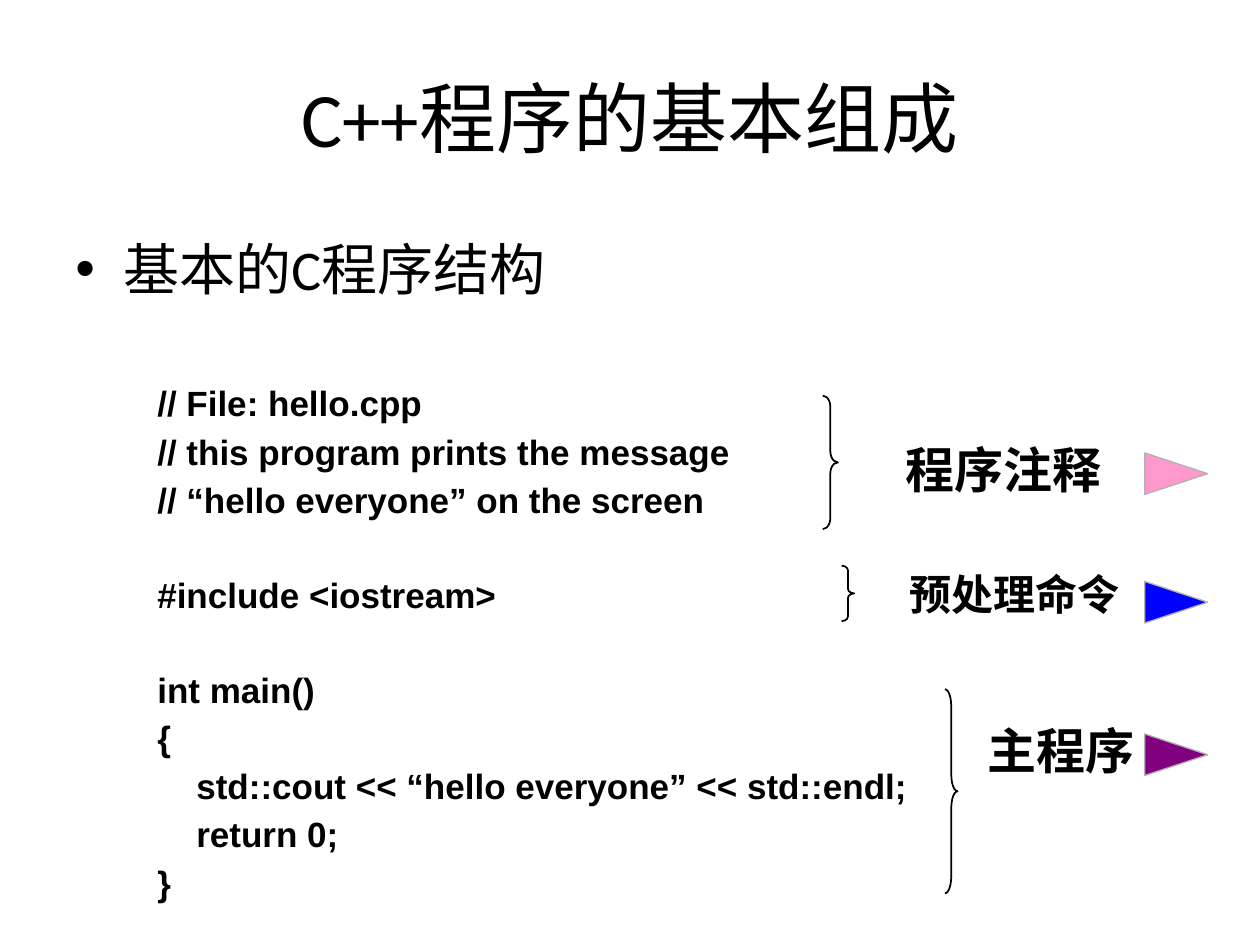
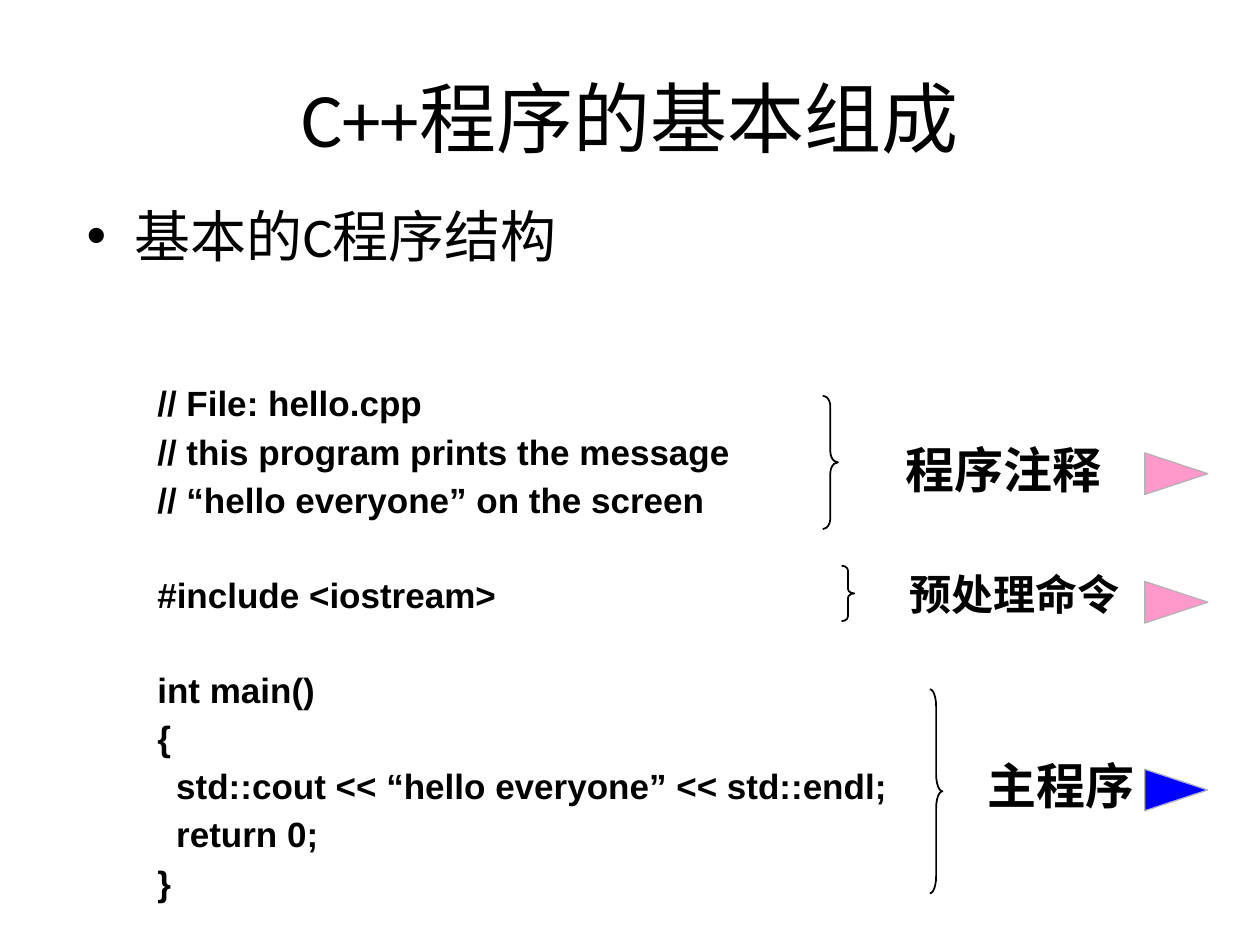
from pptx import Presentation
from pptx.dml.color import RGBColor
from pptx.enum.shapes import MSO_SHAPE as Shape
from pptx.enum.text import MSO_ANCHOR as Anchor, PP_ALIGN as Align
from pptx.oxml.ns import qn
from pptx.util import Inches, Pt
from lxml.etree import SubElement

BLACK, GREY = "000000", "B2B2B2"
PINK, BLUE, PURPLE = "FF99CC", "0000FF", "800080"
TITLE_BOX = (0.5, 0.3, 9, 1.25)
CODE_BOX = (1.15, 2.98, 7.49, 4.12)
LINE_GAP, BLOCK_GAP = 3.6, 30.2  # points before a line, before a new block

# Each block is a list of (indent level, text)
CODE_BLOCKS = [
    [(0, "// File: hello.cpp"),
     (0, "// this program prints the message"),
     (0, "// “hello everyone” on the screen")],
    [(0, "#include <iostream>")],
    [(0, "int main()"),
     (0, "{"),
     (1, "std::cout << “hello everyone” << std::endl;"),
     (1, "return 0;"),
     (0, "}")],
]


def color(hex_code):
    return RGBColor.from_string(hex_code)


def inches(box):
    return [Inches(length) for length in box]


def style_text(para, font, size, bold=False):
    for span in para.runs:
        span.font.name = font
        span.font.size = Pt(size)
        span.font.bold = bold
        span.font.color.rgb = color(BLACK)


def add_text(shapes, box, text, font, size, bold=False):
    frame = shapes.add_textbox(*inches(box)).text_frame
    frame.word_wrap = True
    frame.text = text
    style_text(frame.paragraphs[0], font, size, bold)
    return frame


def set_title(page, box, text):
    title = page.shapes.title
    title.left, title.top, title.width, title.height = inches(box)
    frame = title.text_frame
    frame.vertical_anchor = Anchor.MIDDLE
    frame.text = text
    frame.paragraphs[0].alignment = Align.CENTER
    style_text(frame.paragraphs[0], "Calibri", 44)


def add_bullet(page, box, text):
    para = add_text(page.shapes, box, text, "Calibri", 32).paragraphs[0]
    props = para._p.get_or_add_pPr()
    props.set("marL", str(Inches(0.38)))
    props.set("indent", str(-Inches(0.38)))
    SubElement(props, qn("a:buFont")).set("typeface", "Arial")
    SubElement(props, qn("a:buChar")).set("char", "•")


def add_code(page, box, indent):
    frame = page.shapes.add_textbox(*inches(box)).text_frame
    frame.word_wrap = True
    para = frame.paragraphs[0]
    for block_number, block in enumerate(CODE_BLOCKS):
        for line_number, (level, text) in enumerate(block):
            if block_number or line_number:
                para = frame.add_paragraph()
                para.space_before = Pt(LINE_GAP if line_number else BLOCK_GAP)
            para.text = text
            style_text(para, "Arial", 20, bold=True)
            if level:
                para._p.get_or_add_pPr().set("marL", str(Inches(indent * level)))


def add_callout(page, brace_box, label_box, text, size, arrow_color):
    """A brace, its label and a triangle pointing right, as one group."""
    shapes = page.shapes.add_group_shape().shapes

    # Brace, with corners a twelfth of its height
    brace = shapes.add_shape(Shape.RIGHT_BRACE, *inches(brace_box))
    brace.shadow.inherit = False
    brace.fill.background()
    brace.line.color.rgb = color(BLACK)
    brace.line.width = Pt(1)
    brace.adjustments[0] = brace_box[3] / 12 / brace_box[2]

    add_text(shapes, label_box, text, "Arial", size, bold=True)

    # Triangle, a little below the top of the label
    triangle_box = (9.17, label_box[1] + 0.07, 0.33, 0.5)
    triangle = shapes.add_shape(Shape.ISOSCELES_TRIANGLE, *inches(triangle_box))
    triangle.shadow.inherit = False
    triangle.rotation = 90
    triangle.fill.solid()
    triangle.fill.fore_color.rgb = color(arrow_color)
    triangle.line.color.rgb = color(GREY)
    triangle.line.width = Pt(0.75)


def add_program_slide(deck, bullet_box, indent, brace_left, main_top, include_color, main_color):
    page = deck.slides.add_slide(deck.slide_layouts[5])
    set_title(page, TITLE_BOX, "C++程序的基本组成")
    add_bullet(page, bullet_box, "基本的C程序结构")
    add_code(page, CODE_BOX, indent)
    add_callout(page, (6.68, 4.49, 0.1, 0.44), (7.12, 4.46, 2.47, 0.5),
                "预处理命令", 24, include_color)
    add_callout(page, (6.53, 3.14, 0.12, 1.06), (7.09, 3.44, 2, 0.57),
                "程序注释", 28, PINK)
    add_callout(page, (brace_left, 5.47, 0.1, 1.62), (7.74, main_top, 1.69, 0.57),
                "主程序", 28, main_color)


deck = Presentation()
deck.slide_width, deck.slide_height = Inches(10), Inches(7.5)
add_program_slide(deck, (0.5, 1.81, 9, 0.84), 0.31, 7.5, 5.67, BLUE, PURPLE)
add_program_slide(deck, (0.59, 1.55, 9, 0.85), 0.15, 7.38, 5.95, PINK, BLUE)
deck.save("out.pptx")
